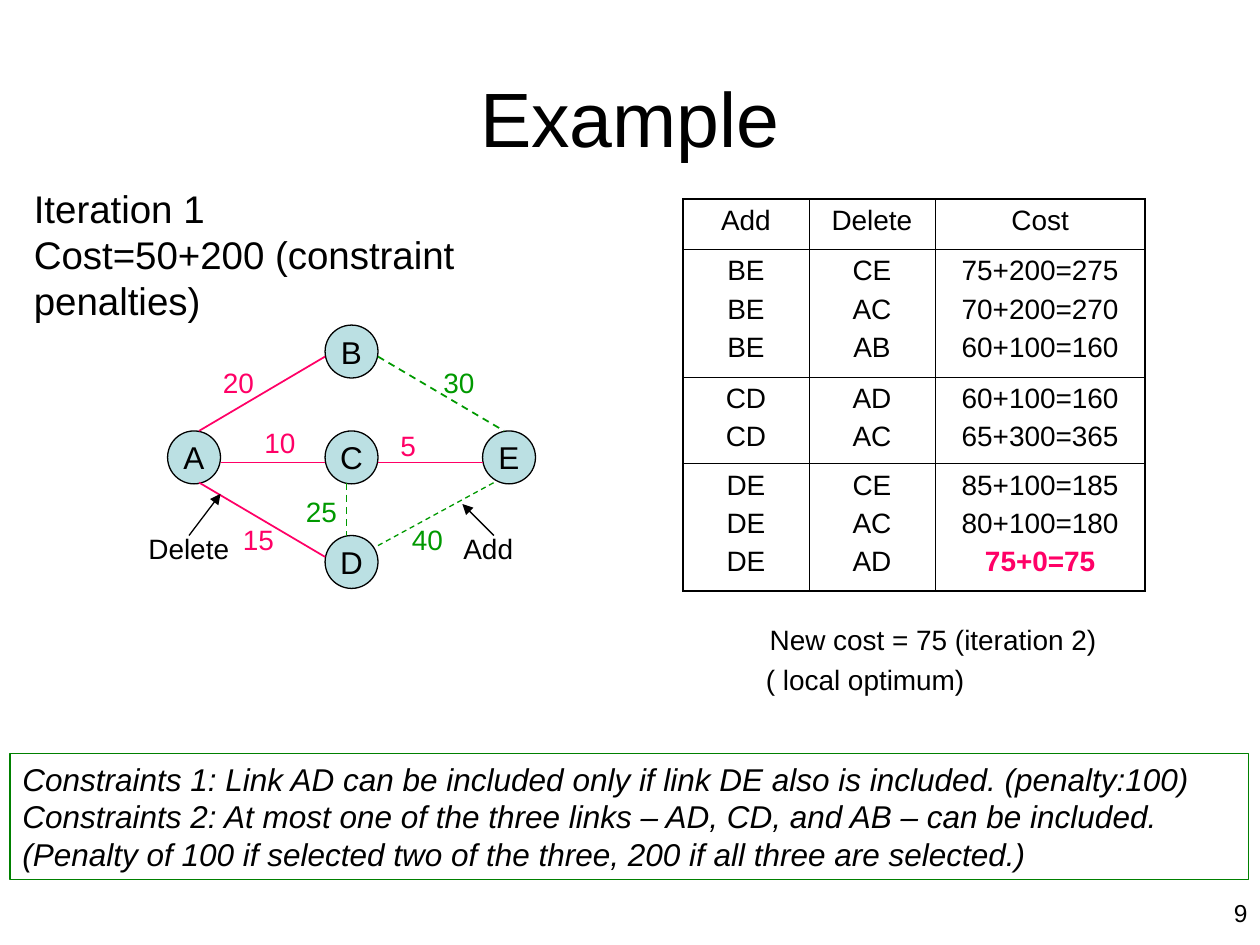
from typing import NamedTuple, Sequence

from lxml import etree
from pptx import Presentation
from pptx import util as u
from pptx.dml.color import RGBColor
from pptx.enum import dml, shapes, text
from pptx.oxml.ns import qn

BLACK, PINK, GREEN = "000000", "FF0066", "009900"
FONT = "Arial"
NODE_SIZE = 0.42
CENTER, LEFT, RIGHT = text.PP_ALIGN.CENTER, text.PP_ALIGN.LEFT, text.PP_ALIGN.RIGHT


class Node(NamedTuple):
    name: str
    left: float
    top: float


class Line(NamedTuple):
    start: tuple[float, float]
    end: tuple[float, float]
    color: str
    width: float = 1
    dashed: bool = False
    arrow: bool = False


class Label(NamedTuple):
    words: str
    left: float
    top: float
    color: str
    width: float = 0.58


NODES = [Node("A", 1.33, 3.42), Node("B", 2.58, 2.58), Node("D", 2.58, 4.25),
         Node("C", 2.58, 3.42), Node("E", 3.83, 3.42)]
LINES = [
    Line((1.75, 3.67), (2.58, 3.67), PINK),
    Line((3, 3.67), (3.83, 3.67), PINK),
    Line((3, 4.33), (3.92, 3.83), GREEN, 0.75, dashed=True),
    Line((1.58, 3.83), (2.58, 4.42), PINK),
    Line((3, 2.83), (4, 3.42), GREEN, dashed=True),
    Line((1.58, 3.42), (2.58, 2.83), PINK),
    Line((2.75, 3.83), (2.75, 4.25), GREEN, dashed=True),
    Line((1.5, 4.25), (1.75, 3.92), BLACK, 0.75, arrow=True),
    Line((3.92, 4.25), (3.67, 4), BLACK, 0.75, arrow=True),
]
LABELS = [
    Label("20", 1.67, 2.85, PINK), Label("30", 3.42, 2.85, GREEN),
    Label("15", 1.83, 4.1, PINK), Label("40", 3.17, 4.1, GREEN),
    Label("10", 2, 3.33, PINK), Label("5", 3.08, 3.35, PINK),
    Label("25", 2.33, 3.88, GREEN),
    Label("Delete", 1.08, 4.17, BLACK, 1), Label("Add", 3.58, 4.17, BLACK, 1),
]
COLUMN_WIDTHS = [1, 1, 1.67]
ROW_HEIGHTS = [0.4, 1.01, 0.69, 1.01]
BEST = "75+0=75"
TABLE_ROWS = [
    [["Add"], ["Delete"], ["Cost"]],
    [["BE"] * 3, ["CE", "AC", "AB"], ["75+200=275", "70+200=270", "60+100=160"]],
    [["CD"] * 2, ["AD", "AC"], ["60+100=160", "65+300=365"]],
    [["DE"] * 3, ["CE", "AC", "AD"], ["85+100=185", "80+100=180", BEST]],
]


def rgb(color: str) -> RGBColor:
    return RGBColor.from_string(color)


def write(frame, lines: Sequence[str], size: float, color: str = BLACK,
          align=LEFT, gap: float = 0, italic: bool = False) -> None:
    """Put one paragraph per line in a frame, with a gap between them."""
    frame.word_wrap = True
    for index, line in enumerate(lines):
        paragraph = frame.add_paragraph() if index else frame.paragraphs[0]
        paragraph.text = line
        paragraph.alignment = align
        paragraph.space_before = u.Pt(gap if index else 0)
        font = paragraph.font
        font.name, font.size, font.italic = FONT, u.Pt(size), italic
        font.color.rgb = rgb(color)


def add_text(slide, left: float, top: float, width: float, height: float,
             lines: Sequence[str], size: float, **style):
    box = slide.shapes.add_textbox(u.Inches(left), u.Inches(top),
                                   u.Inches(width), u.Inches(height))
    write(box.text_frame, lines, size, **style)
    return box


def add_node(slide, node: Node) -> None:
    circle = slide.shapes.add_shape(
        shapes.MSO_SHAPE.OVAL, u.Inches(node.left), u.Inches(node.top),
        u.Inches(NODE_SIZE), u.Inches(NODE_SIZE))
    circle.shadow.inherit = False
    circle.fill.solid()
    circle.fill.fore_color.rgb = rgb("BBE0E3")
    circle.line.color.rgb = rgb(BLACK)
    circle.line.width = u.Pt(0.75)
    frame = circle.text_frame
    frame.margin_left = frame.margin_right = 0
    frame.margin_top = frame.margin_bottom = 0
    frame.vertical_anchor = text.MSO_ANCHOR.MIDDLE
    write(frame, [node.name], 18, align=CENTER)


def add_line(slide, line: Line) -> None:
    connector = slide.shapes.add_connector(
        shapes.MSO_CONNECTOR.STRAIGHT,
        *(u.Inches(value) for value in line.start + line.end))
    connector.line.color.rgb = rgb(line.color)
    connector.line.width = u.Pt(line.width)
    if line.dashed:
        connector.line.dash_style = dml.MSO_LINE.DASH
    if line.arrow:
        outline = connector.line._get_or_add_ln()
        etree.SubElement(outline, qn("a:tailEnd"), type="triangle")
    etree.SubElement(connector._element.spPr, qn("a:effectLst"))


def add_border(cell, side: str, width: float) -> None:
    properties = cell._tc.get_or_add_tcPr()
    border = etree.SubElement(properties, qn(f"a:ln{side}"), w=str(u.Pt(width)))
    fill = etree.SubElement(border, qn("a:solidFill"))
    etree.SubElement(fill, qn("a:srgbClr"), val=BLACK)


def add_cost_table(slide) -> None:
    last_row, last_column = len(ROW_HEIGHTS) - 1, len(COLUMN_WIDTHS) - 1
    table = slide.shapes.add_table(
        len(ROW_HEIGHTS), len(COLUMN_WIDTHS), u.Inches(5.42), u.Inches(1.58),
        u.Inches(sum(COLUMN_WIDTHS)), u.Inches(sum(ROW_HEIGHTS))).table
    table.first_row = table.horz_banding = False
    for column, width in zip(table.columns, COLUMN_WIDTHS):
        column.width = u.Inches(width)
    for row, height in zip(table.rows, ROW_HEIGHTS):
        row.height = u.Inches(height)
    for row, contents in enumerate(TABLE_ROWS):
        for column, lines in enumerate(contents):
            cell = table.cell(row, column)
            write(cell.text_frame, lines, 16, align=CENTER, gap=4)
            outer = {"L": column == 0, "R": column == last_column,
                     "T": row == 0, "B": row == last_row}
            for side, is_outer in outer.items():
                add_border(cell, side, 1.08 if is_outer else 0.45)
            cell.fill.background()
            for paragraph in cell.text_frame.paragraphs:
                if paragraph.text == BEST:
                    paragraph.font.bold = True
                    paragraph.font.color.rgb = rgb(PINK)


def add_constraints(slide) -> None:
    box = slide.shapes.add_shape(shapes.MSO_SHAPE.RECTANGLE, u.Inches(0.08),
                                 u.Inches(5.98), u.Inches(9.83), u.Inches(1))
    box.shadow.inherit = False
    box.fill.background()
    box.line.color.rgb = rgb("008000")
    box.line.width = u.Pt(1)
    box.text_frame.vertical_anchor = text.MSO_ANCHOR.TOP
    write(box.text_frame, [
        "Constraints 1: Link AD can be included only if link DE also is included. (penalty:100)",
        "Constraints 2: At most one of the three links – AD, CD, and AB – can be included.",
        "(Penalty of 100 if selected two of the three, 200 if all three are selected.)",
    ], 18, italic=True)


def main() -> None:
    presentation = Presentation()
    presentation.slide_width, presentation.slide_height = u.Inches(10), u.Inches(7.5)
    slide = presentation.slides.add_slide(presentation.slide_layouts[6])

    # Page number, title and heading
    add_text(slide, 8.83, 7.08, 1.17, 0.27, ["9"], 14, align=RIGHT)
    title = add_text(slide, 0.5, 0.3, 9, 1.25, ["Example"], 44, align=CENTER)
    title.text_frame.vertical_anchor = text.MSO_ANCHOR.MIDDLE
    add_text(slide, 0.17, 1.42, 4.92, 1.2,
             ["Iteration 1", "Cost=50+200 (constraint penalties)"], 22)

    # Network
    for node in NODES:
        add_node(slide, node)
    for line in LINES:
        add_line(slide, line)
    for label in LABELS:
        add_text(slide, label.left, label.top, label.width, 0.37,
                 [label.words], 16, color=label.color)

    # Costs and result
    add_cost_table(slide)
    result = add_text(slide, 5.92, 4.92, 3.08, 0.83,
                      ["New cost = 75 (iteration 2)", "( local optimum)"], 16, gap=6)
    for paragraph, indent in zip(result.text_frame.paragraphs, (0.09, 0.06)):
        paragraph.line_spacing = 0.9
        paragraph._p.get_or_add_pPr().set("marL", str(u.Inches(indent)))

    add_constraints(slide)
    presentation.save("out.pptx")


if __name__ == "__main__":
    main()
